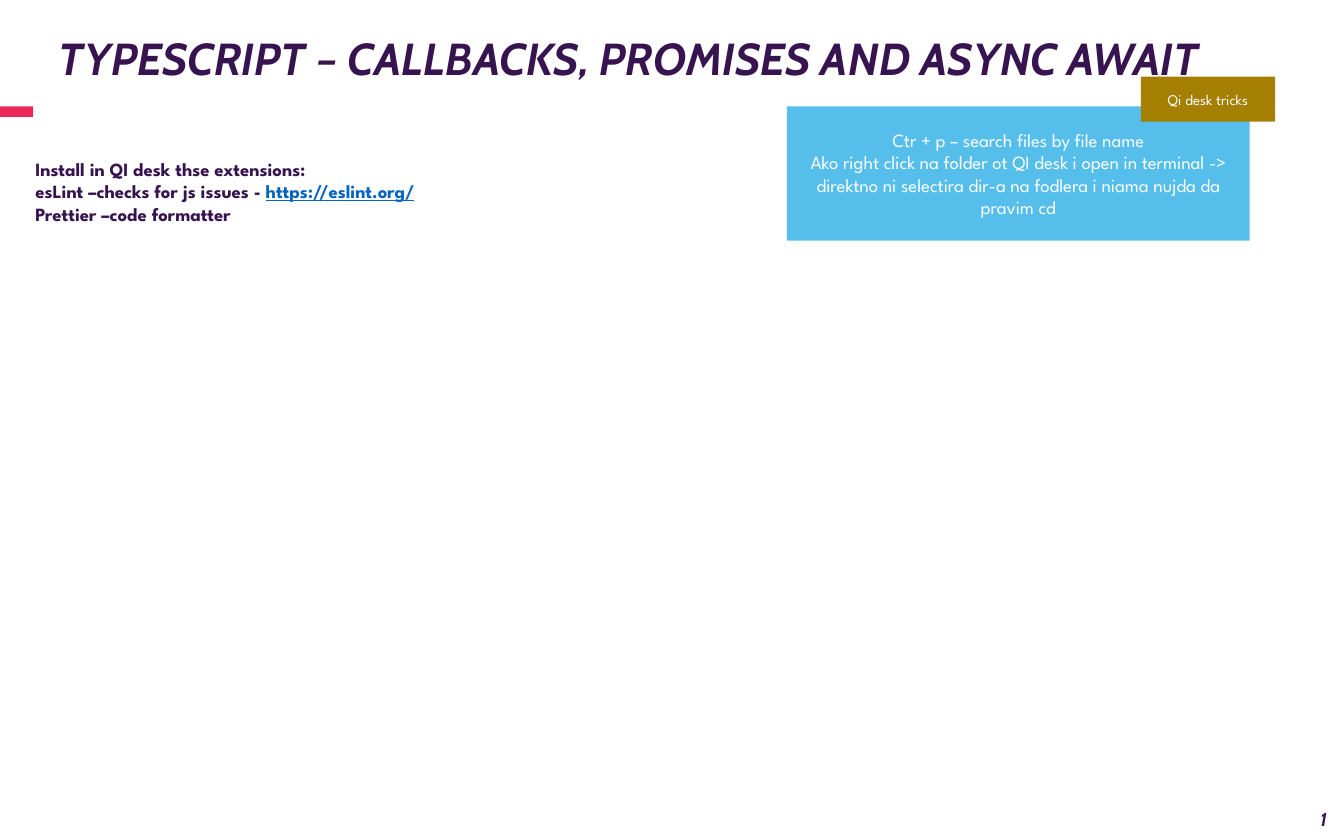
from dataclasses import dataclass

from pptx import Presentation
from pptx.dml.color import RGBColor
from pptx.enum.shapes import MSO_SHAPE
from pptx.enum.text import MSO_ANCHOR, MSO_AUTO_SIZE, PP_ALIGN
from pptx.util import Cm, Pt

PURPLE, WHITE, LINK_BLUE = "371450", "FFFFFF", "0563C1"
HEADING_FONT, BODY_FONT = "Cabin", "League Spartan"


@dataclass(frozen=True)
class Box:
    left: float
    top: float
    width: float
    height: float

    def lengths(self) -> tuple:
        return Cm(self.left), Cm(self.top), Cm(self.width), Cm(self.height)


@dataclass(frozen=True)
class Panel:
    box: Box
    fill: str
    lines: tuple = ()
    size: int = 10


def color(value: str) -> RGBColor:
    return RGBColor.from_string(value)


def format_font(font, text_color: str, **values) -> None:
    for name, value in values.items():
        setattr(font, name, value)
    font.color.rgb = color(text_color)


def write_lines(frame, lines, text_color: str, alignment=PP_ALIGN.LEFT,
                anchor=MSO_ANCHOR.MIDDLE, **values) -> None:
    """Write one paragraph per line; a tuple line ends with a link-styled run."""
    frame.word_wrap = True
    frame.vertical_anchor = anchor
    for index, line in enumerate(lines):
        paragraph = frame.add_paragraph() if index else frame.paragraphs[0]
        paragraph.alignment = alignment
        parts = (line,) if isinstance(line, str) else line
        for position, text in enumerate(parts):
            run = paragraph.add_run()
            run.text = text
            if position:
                format_font(run.font, LINK_BLUE, underline=True, **values)
            else:
                format_font(run.font, text_color, **values)


def add_panel(shapes, panel: Panel) -> None:
    shape = shapes.add_shape(MSO_SHAPE.RECTANGLE, *panel.box.lengths())
    shape.shadow.inherit = False
    shape.fill.solid()
    shape.fill.fore_color.rgb = color(panel.fill)
    shape.line.fill.background()
    if panel.lines:
        write_lines(shape.text_frame, panel.lines, WHITE, PP_ALIGN.CENTER,
                    name=BODY_FONT, size=Pt(panel.size))


def add_text(shapes, box: Box, lines, **formats) -> None:
    write_lines(shapes.add_textbox(*box.lengths()).text_frame, lines, PURPLE, **formats)


ACCENT = Panel(Box(0, 2.01, 0.63, 0.2), "EB2859")
TRICKS = (
    Panel(Box(14.87, 2.01, 8.75, 2.54), "55BEEA", (
        "Ctr + p – search files by file name",
        "Ako right click na folder ot QI desk i open in terminal -> direktno ni "
        "selectira dir-a na fodlera i niama nujda da pravim cd",
    )),
    Panel(Box(21.56, 1.45, 2.54, 0.85), "A57F00", ("Qi desk tricks",), 8),
)
EXTENSIONS = (
    "Install in QI desk thse extensions:",
    ("esLint –checks for js issues - ", "https://eslint.org/"),
    "Prettier –code formatter",
)


def main() -> None:
    presentation = Presentation()
    presentation.slide_width, presentation.slide_height = Cm(25.4), Cm(15.88)
    slide = presentation.slides.add_slide(presentation.slide_layouts[5])
    shapes = slide.shapes
    heading = {"name": HEADING_FONT, "bold": True, "italic": True}

    # Accent bar at the left edge
    add_panel(shapes, ACCENT)

    # Title
    title = shapes.title
    title.left, title.top, title.width, title.height = Box(0.86, 0.44, 23.55, 1.3).lengths()
    title.text_frame.auto_size = MSO_AUTO_SIZE.NONE
    write_lines(title.text_frame, ["TYPESCRIPT – CALLBACKS, PROMISES AND ASYNC AWAIT"],
                PURPLE, size=Pt(24), **heading)

    # Slide number
    add_text(shapes, Box(23.32, 15.06, 2.01, 0.84), ["1"],
             alignment=PP_ALIGN.RIGHT, size=Pt(10), **heading)

    # Extensions to install
    add_text(shapes, Box(0.42, 2.86, 9.07, 1.7), EXTENSIONS,
             anchor=MSO_ANCHOR.TOP, name=BODY_FONT, size=Pt(10), bold=True)

    # Editor tricks with their label
    group = shapes.add_group_shape()
    for panel in TRICKS:
        add_panel(group.shapes, panel)

    presentation.save("out.pptx")


if __name__ == "__main__":
    main()
